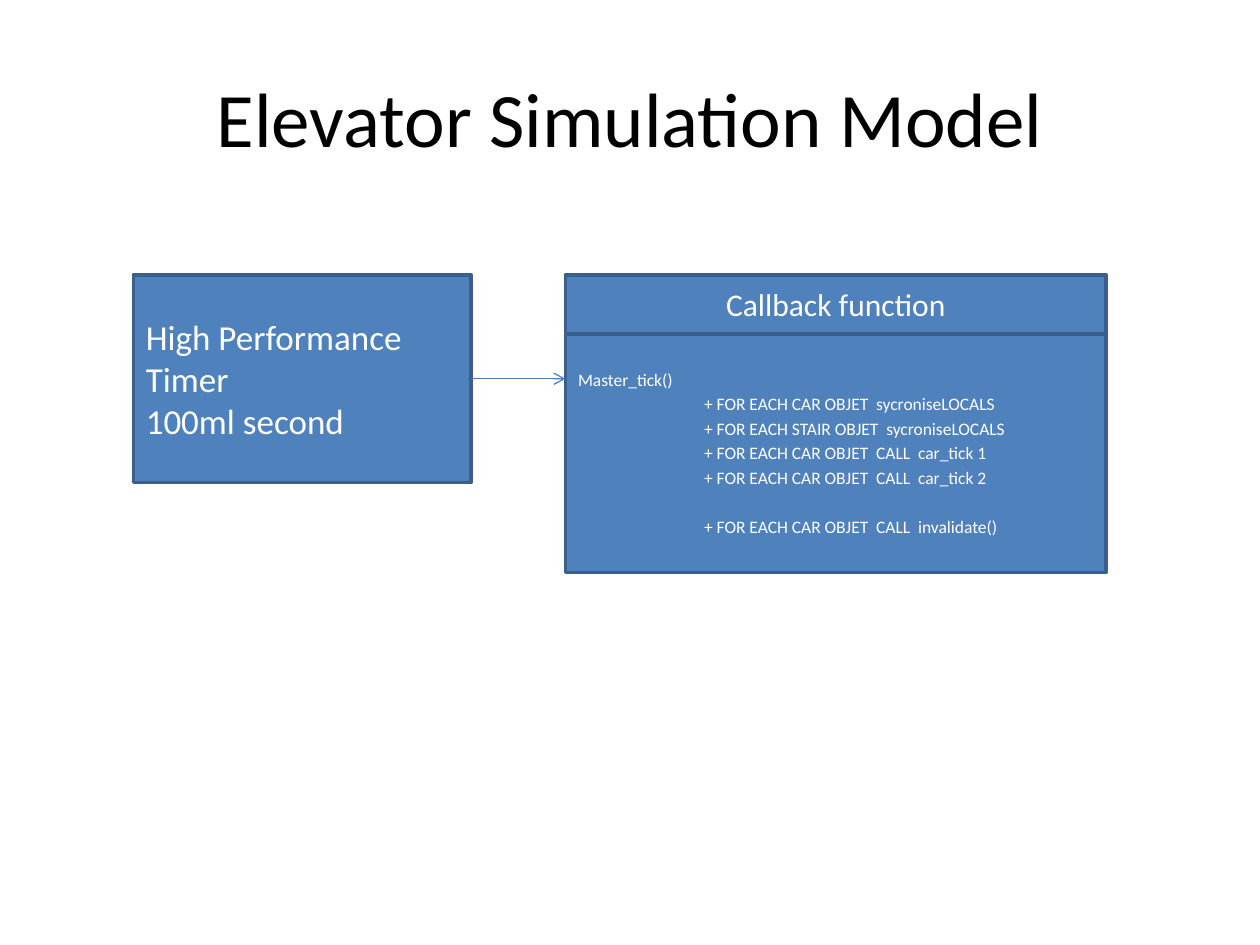
"""Build the elevator simulation model slide."""
from lxml import etree
from pptx import Presentation
from pptx.dml.color import RGBColor
from pptx.enum.shapes import MSO_CONNECTOR, MSO_SHAPE
from pptx.enum.text import MSO_ANCHOR, MSO_AUTO_SIZE, PP_ALIGN
from pptx.oxml.ns import qn
from pptx.util import Cm, Pt

RECT = MSO_SHAPE.RECTANGLE
LINE = MSO_CONNECTOR.STRAIGHT
MID = MSO_ANCHOR.MIDDLE
FIXED = MSO_AUTO_SIZE.NONE
LEFT, CENTER = PP_ALIGN.LEFT, PP_ALIGN.CENTER


def paint(color, code):
    color.rgb = RGBColor.from_string(code)


def fill_box(box, lines, size, align, ink="FFFFFF"):
    frame = box.text_frame
    frame.text = "\n".join(lines)
    frame.word_wrap = True
    frame.auto_size = FIXED
    frame.vertical_anchor = MID
    for para in frame.paragraphs:
        para.alignment = align
        para.space_before = Pt(0)
        para.font.size = Pt(size)
        para.font.name = "Calibri"
        paint(para.font.color, ink)


deck = Presentation()
deck.slide_width, deck.slide_height = Cm(25.4), Cm(19.05)
slide = deck.slides.add_slide(deck.slide_layouts[1])
shapes = slide.shapes

title = shapes.title
title.left, title.top = Cm(1.27), Cm(0.76)
title.width, title.height = Cm(22.86), Cm(3.18)
fill_box(title, ["Elevator Simulation Model"], 44, CENTER, "000000")

body = slide.placeholders[1]
body.left, body.top = Cm(11.4), Cm(6.71)
body.width, body.height = Cm(10.9), Cm(4.83)
steps = [
    "Master_tick()",
    "+ FOR EACH CAR OBJET  sycroniseLOCALS",
    "+ FOR EACH STAIR OBJET  sycroniseLOCALS",
    "+ FOR EACH CAR OBJET  CALL  car_tick 1",
    "+ FOR EACH CAR OBJET  CALL  car_tick 2",
    "+ FOR EACH CAR OBJET  CALL  invalidate()",
]
fill_box(body, steps, 10, LEFT)
paras = body.text_frame.paragraphs
for row, para in enumerate(paras):
    para.space_before = Pt(2)
    props = para._p.get_or_add_pPr()
    props.set("marL", str(Cm(2.54) if row else 0))
    props.set("indent", "0")
    props.find(qn("a:defRPr")).addprevious(etree.Element(qn("a:buNone")))
paras[-1].space_before = Pt(16)

head = shapes.add_shape(RECT, Cm(11.4), Cm(5.54), Cm(10.9), Cm(1.19))
fill_box(head, ["Callback function"], 18, CENTER)

timer = shapes.add_shape(RECT, Cm(2.69), Cm(5.54), Cm(6.81), Cm(4.19))
fill_box(timer, ["High Performance Timer", "100ml second"], 20, LEFT)

for box in (body, head, timer):
    box.fill.solid()
    paint(box.fill.fore_color, "4F81BD")
    paint(box.line.color, "3A5F8C")
    box.line.width = Pt(2)
for box in (head, timer):
    box.shadow.inherit = False

level = timer.top + timer.height // 2
arrow = shapes.add_connector(LINE, timer.left + timer.width, level, body.left, level)
arrow.begin_connect(timer, 3)
paint(arrow.line.color, "4B7EBC")
arrow.line.width = Pt(0.75)
etree.SubElement(arrow.line._get_or_add_ln(), qn("a:tailEnd"), type="arrow")
etree.SubElement(arrow._element.spPr, qn("a:effectLst"))

deck.save("out.pptx")
